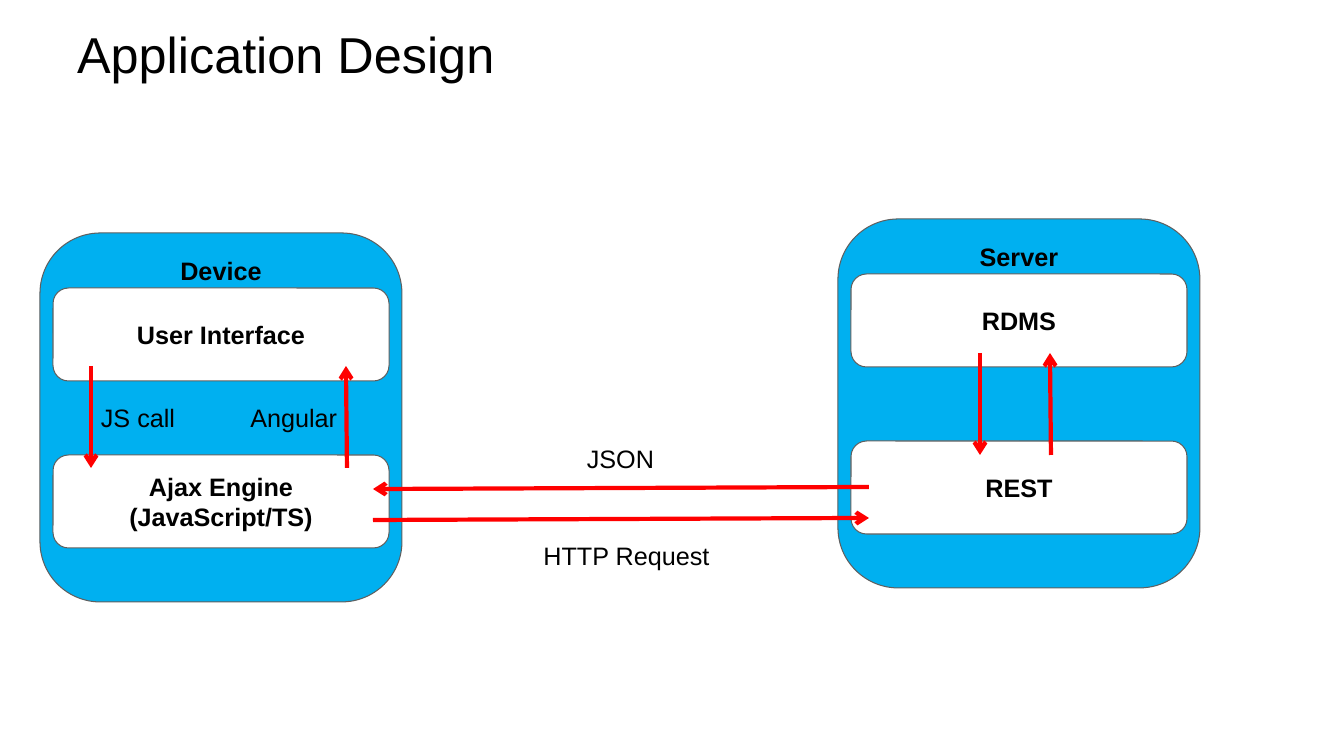
from lxml.etree import SubElement
from pptx import Presentation
from pptx.dml.color import RGBColor
from pptx.enum.shapes import MSO_CONNECTOR, MSO_SHAPE
from pptx.enum.text import MSO_ANCHOR, MSO_AUTO_SIZE, PP_ALIGN
from pptx.oxml.ns import qn
from pptx.util import Pt

# Content: positions in px
TITLE = ("Application Design", (67, 21, 1210, 65))
PANELS = [  # left, top, heading, upper box, lower box
    (40, 233, "Device", ["User Interface", "Ajax Engine\n(JavaScript/TS)"]),
    (838, 219, "Server", ["RDMS", "REST"]),
]
ARROWS = [  # from x, y, to x, y
    (91, 366, 91, 468),
    (347, 468, 346, 366),
    (980, 353, 980, 455),
    (1051, 455, 1050, 353),
    (373, 520, 869, 518),
    (869, 487, 373, 489),
]
LABELS = [  # text, left, top, width, alignment
    ("JS call", 91, 397, 98, PP_ALIGN.LEFT),
    ("Angular", 216, 397, 131, PP_ALIGN.RIGHT),
    ("HTTP Request", 509, 535, 235, PP_ALIGN.CENTER),
    ("JSON", 503, 438, 235, PP_ALIGN.CENTER),
]

# Layout and style
PANEL_SIZE = (362, 369)
BOX_SIZE = (336, 93)
BOX_INSET = (PANEL_SIZE[0] - BOX_SIZE[0]) // 2
FIRST_BOX, BOX_STEP = 55, 167
LABEL_HEIGHT = 40
FONT = "Arial"
BLACK, WHITE, BLUE, GREY, RED = "000000", "FFFFFF", "00B0F0", "5F5F5F", "FF0000"
EMU_PER_PX = 914400 / 100.8


def px(*lengths):
    return [round(length * EMU_PER_PX) for length in lengths]


def color(value):
    return RGBColor.from_string(value)


def write(shape, text, size=18, bold=False, align=PP_ALIGN.CENTER,
          anchor=MSO_ANCHOR.TOP, wrap=True, autosize=MSO_AUTO_SIZE.NONE):
    frame = shape.text_frame
    frame.text = text
    frame.word_wrap = wrap
    frame.auto_size = autosize
    frame.vertical_anchor = anchor
    for paragraph in frame.paragraphs:
        paragraph.alignment = align
        for run in paragraph.runs:
            run.font.name = FONT
            run.font.size = Pt(size)
            run.font.bold = bold
            run.font.color.rgb = color(BLACK)


def add_box(slide, left, top, size, fill, text, anchor):
    shape = slide.shapes.add_shape(
        MSO_SHAPE.ROUNDED_RECTANGLE, *px(left, top, *size))
    shape.shadow.inherit = False
    shape.fill.solid()
    shape.fill.fore_color.rgb = color(fill)
    shape.line.color.rgb = color(GREY)
    shape.line.width = Pt(0.75)
    write(shape, text, bold=True, anchor=anchor, wrap=False)


def add_arrow(slide, *ends):
    connector = slide.shapes.add_connector(MSO_CONNECTOR.STRAIGHT, *px(*ends))
    connector.line.color.rgb = color(RED)
    connector.line.width = Pt(3)
    SubElement(connector.line._get_or_add_ln(), qn("a:tailEnd"), type="arrow")
    SubElement(connector._element.spPr, qn("a:effectLst"))


def main():
    presentation = Presentation()
    presentation.slide_width, presentation.slide_height = px(1344, 756)
    slide = presentation.slides.add_slide(presentation.slide_layouts[5])

    # Title
    text, place = TITLE
    title = slide.shapes.title
    title.left, title.top, title.width, title.height = px(*place)
    write(title, text, size=36, align=PP_ALIGN.LEFT, anchor=MSO_ANCHOR.MIDDLE)

    # Device and server panels with their layers
    for left, top, heading, layers in PANELS:
        add_box(slide, left, top, PANEL_SIZE, BLUE, heading, MSO_ANCHOR.TOP)
        for row, layer in enumerate(layers):
            add_box(slide, left + BOX_INSET, top + FIRST_BOX + row * BOX_STEP,
                    BOX_SIZE, WHITE, layer, MSO_ANCHOR.MIDDLE)

    # Calls between the layers
    for ends in ARROWS:
        add_arrow(slide, *ends)

    # Call labels
    for text, left, top, width, align in LABELS:
        label = slide.shapes.add_textbox(*px(left, top, width, LABEL_HEIGHT))
        write(label, text, align=align, autosize=MSO_AUTO_SIZE.SHAPE_TO_FIT_TEXT)

    presentation.save("out.pptx")


if __name__ == "__main__":
    main()
